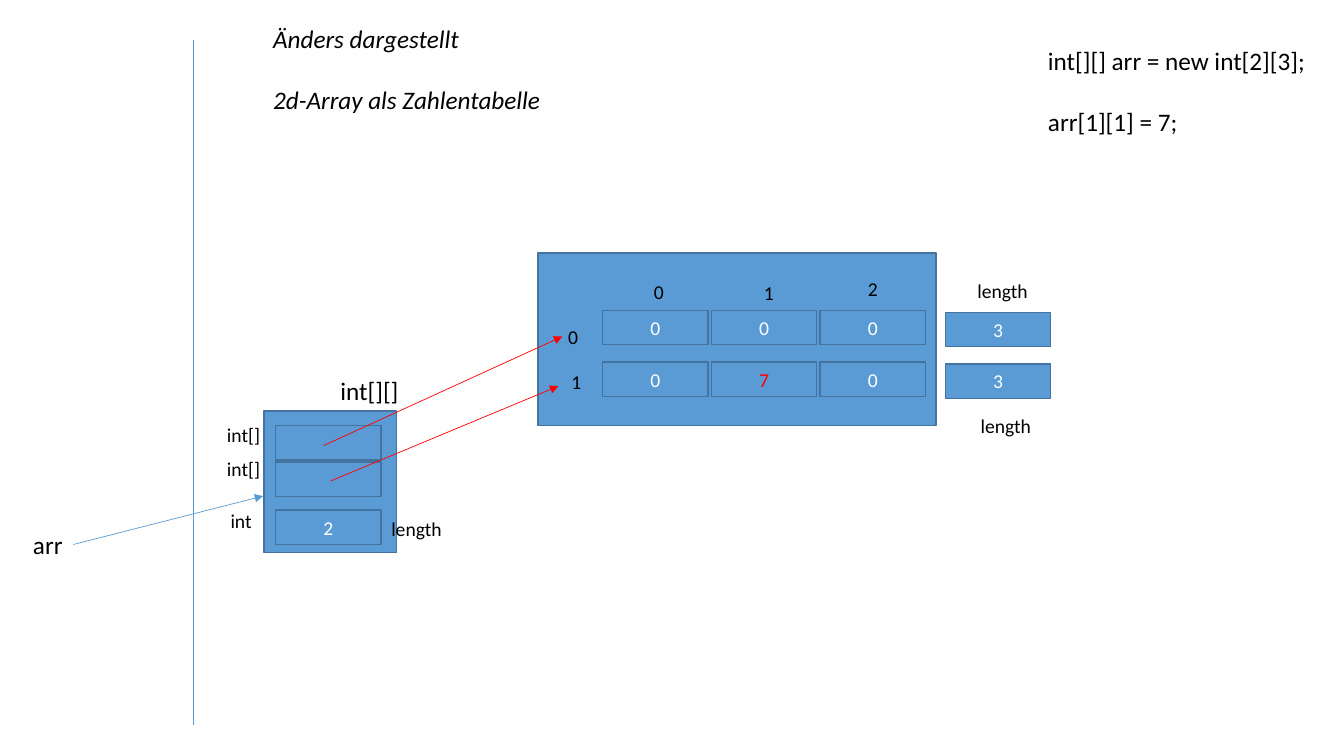
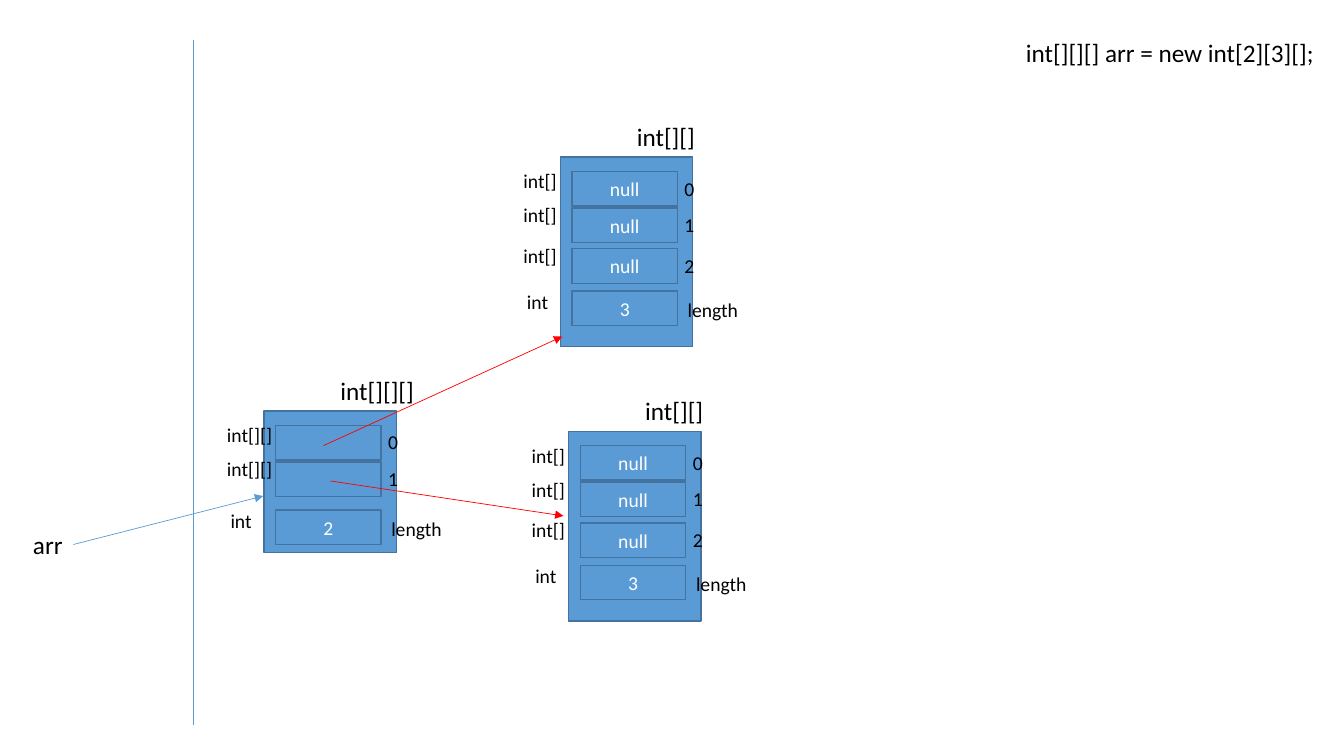
from pptx import Presentation
from pptx.dml.color import RGBColor
from pptx.enum.shapes import MSO_CONNECTOR as Connector, MSO_SHAPE as Shape
from pptx.enum.text import MSO_ANCHOR as Anchor, MSO_AUTO_SIZE as AutoSize, PP_ALIGN as Align
from pptx.oxml.ns import qn
from pptx.util import Cm, Pt
from lxml.etree import SubElement

COLORS = {
    "block": "5B9BD5",
    "edge": "43739E",
    "text": "000000",
    "value": "FFFFFF",
    "accent": "FF0000",
}
FONT = "Calibri"
TITLE_ONLY = 5
LARGE, SMALL = 18, 14
LINE_FACTOR = 1.22
CM_PER_POINT = 2.54 / 72
INSET_X, INSET_Y = 0.51, 0.25

# Advance widths in em, used to size one-line labels
ADVANCE = {"i": 0.23, "n": 0.53, "t": 0.33, "[": 0.31, "]": 0.31, "l": 0.23,
           "e": 0.5, "g": 0.47, "h": 0.53, "a": 0.48, "r": 0.35}
DIGIT_ADVANCE = 0.51

# Sizes and row offsets within an array block, in cm
CELL_WIDTH, CELL_HEIGHT = 2.65, 0.87
BLOCK_WIDTH = 3.34
CELL_TOPS = (0.36, 1.28, 2.31)
TYPE_TOPS = (0.18, 1.04, 2.06)

ROOT = (6.65, 10.36)
FIRST_START, SECOND_START = (8.15, 11.23), (8.33, 12.12)


def color(name):
    """Return the named colour."""
    return RGBColor.from_string(COLORS[name])


def write_text(frame, text, size=SMALL, ink="text", italic=False,
               align=Align.LEFT, anchor=Anchor.TOP, wrap=False):
    """Write text, one paragraph a line, a line's height apart."""
    frame.auto_size = AutoSize.NONE
    frame.word_wrap = wrap
    frame.vertical_anchor = anchor
    for index, line in enumerate(text.split("\n")):
        para = frame.add_paragraph() if index else frame.paragraphs[0]
        para.alignment = align
        para.space_before = Pt(size * LINE_FACTOR if index else 0)
        span = para.add_run()
        span.text = line
        span.font.name = FONT
        span.font.size = Pt(size)
        span.font.italic = italic
        span.font.color.rgb = color(ink)


def add_title(page, text, left, top, width, height, **style):
    """Place and fill the title placeholder."""
    title = page.shapes.title
    title.left, title.top = Cm(left), Cm(top)
    title.width, title.height = Cm(width), Cm(height)
    write_text(title.text_frame, text, size=LARGE, **style)


def add_label(page, text, left, top, size=SMALL):
    """Add a one-line label with a box that fits its text."""
    ems = sum(ADVANCE.get(char, DIGIT_ADVANCE) for char in text)
    width = INSET_X + ems * size * CM_PER_POINT
    height = INSET_Y + size * LINE_FACTOR * CM_PER_POINT
    box = page.shapes.add_textbox(Cm(left), Cm(top), Cm(width), Cm(height))
    write_text(box.text_frame, text, size=size)


def add_block(page, left, top, width, height):
    """Add a blue rectangle with a dark edge."""
    box = page.shapes.add_shape(Shape.RECTANGLE, Cm(left), Cm(top), Cm(width), Cm(height))
    box.shadow.inherit = False
    box.fill.solid()
    box.fill.fore_color.rgb = color("block")
    box.line.color.rgb = color("edge")
    box.line.width = Pt(1)
    return box


def add_cell(page, left, top, text="", ink="value"):
    """Add a memory cell with an optional value."""
    box = add_block(page, left, top, CELL_WIDTH, CELL_HEIGHT)
    if text:
        write_text(box.text_frame, text, ink=ink, align=Align.CENTER,
                   anchor=Anchor.MIDDLE, wrap=True)


def add_line(page, start, end, ink="block", arrow=True):
    """Add a thin line, with an arrowhead at its end if wanted."""
    line = page.shapes.add_connector(
        Connector.STRAIGHT, *(Cm(value) for value in (*start, *end)))
    line.line.color.rgb = color(ink)
    line.line.width = Pt(0.5)
    if arrow:
        SubElement(line.line._get_or_add_ln(), qn("a:tailEnd"), type="triangle")
    SubElement(line._element.spPr, qn("a:effectLst"))


def add_array(page, left, top, element_type, values, indexed=True):
    """Add an array object: its elements, their types and its length field."""
    count = len(values)
    length_top = top + 0.72 + 0.885 * count
    add_block(page, left, top, BLOCK_WIDTH, 1.12 + 1.22 * count)
    add_label(page, element_type + "[]", left + 1.68, top - 1.04, size=LARGE)
    rows = zip(values, CELL_TOPS, TYPE_TOPS)
    for index, (value, cell_top, type_top) in enumerate(rows):
        add_cell(page, left + 0.3, top + cell_top, value)
        add_label(page, element_type, left - 1.18, top + type_top)
        if indexed:
            add_label(page, str(index), left + 2.88, top + cell_top)
    add_cell(page, left + 0.3, length_top, str(count))
    add_label(page, "int", left - 1.09, length_top - 0.16)
    add_label(page, "length", left + 2.96, length_top + 0.04)


def add_number_table(page, rows):
    """Add the number grid with its indices and the row lengths."""
    add_block(page, 13.56, 6.38, 10.03, 4.34)
    for row, values in enumerate(rows):
        top = 7.82 + 1.3 * row
        for column, value in enumerate(values):
            ink = "value" if value == "0" else "accent"
            add_cell(page, 15.19 + 2.74 * column, top, value, ink=ink)
        add_cell(page, 23.83, top + 0.05, str(len(values)))
    labels = (
        ("0", 16.23, 6.93), ("1", 19, 6.96), ("2", 21.62, 6.86),
        ("0", 14.07, 8.05), ("1", 14.15, 9.19),
        ("length", 24.38, 6.91), ("length", 24.46, 10.31),
    )
    for text, left, top in labels:
        add_label(page, text, left, top)


def add_page(deck):
    """Add a page with the stack divider and the variable arr."""
    page = deck.slides.add_slide(deck.slide_layouts[TITLE_ONLY])
    add_line(page, (4.88, 1.02), (4.88, 18.26), arrow=False)
    add_label(page, "arr", 0.58, 13.21, size=LARGE)
    return page


def add_pointers(page, first_end, second_end):
    """Add the arrows from arr to its array and from there to the elements."""
    add_line(page, (1.85, 13.72), (6.63, 12.5))
    add_line(page, FIRST_START, first_end, ink="accent")
    add_line(page, SECOND_START, second_end, ink="accent")


def build_table_page(deck):
    """Build the page that shows a 2d array as a table of numbers."""
    page = add_page(deck)
    add_title(page, "Änders dargestellt\n2d-Array als Zahlentabelle",
              6.63, 0.46, 7.32, 3.33, italic=True)
    code = page.shapes.add_textbox(Cm(26.16), Cm(1.02), Cm(7.26), Cm(3.33))
    write_text(code.text_frame, "int[][] arr = new int[2][3];\narr[1][1] = 7;", size=LARGE)
    add_number_table(page, (("0", "0", "0"), ("0", "7", "0")))
    add_array(page, *ROOT, "int[]", ("", ""), indexed=False)
    add_pointers(page, (14.17, 8.48), (14.07, 9.73))


def build_nested_page(deck):
    """Build the page that shows a 3d array with empty inner arrays."""
    page = add_page(deck)
    add_title(page, "int[][][] arr = new int[2][3][];", 25.6, 0.81, 7.85, 2.57)
    add_array(page, *ROOT, "int[][]", ("", ""))
    for left, top in ((14.12, 3.96), (14.33, 10.87)):
        add_array(page, left, top, "int[]", ("null",) * 3)
    add_pointers(page, (14.17, 8.48), (14.2, 13))


def main():
    """Build and save the deck."""
    deck = Presentation()
    deck.slide_width, deck.slide_height = Cm(33.87), Cm(19.05)
    build_table_page(deck)
    build_nested_page(deck)
    deck.save("out.pptx")


main()
